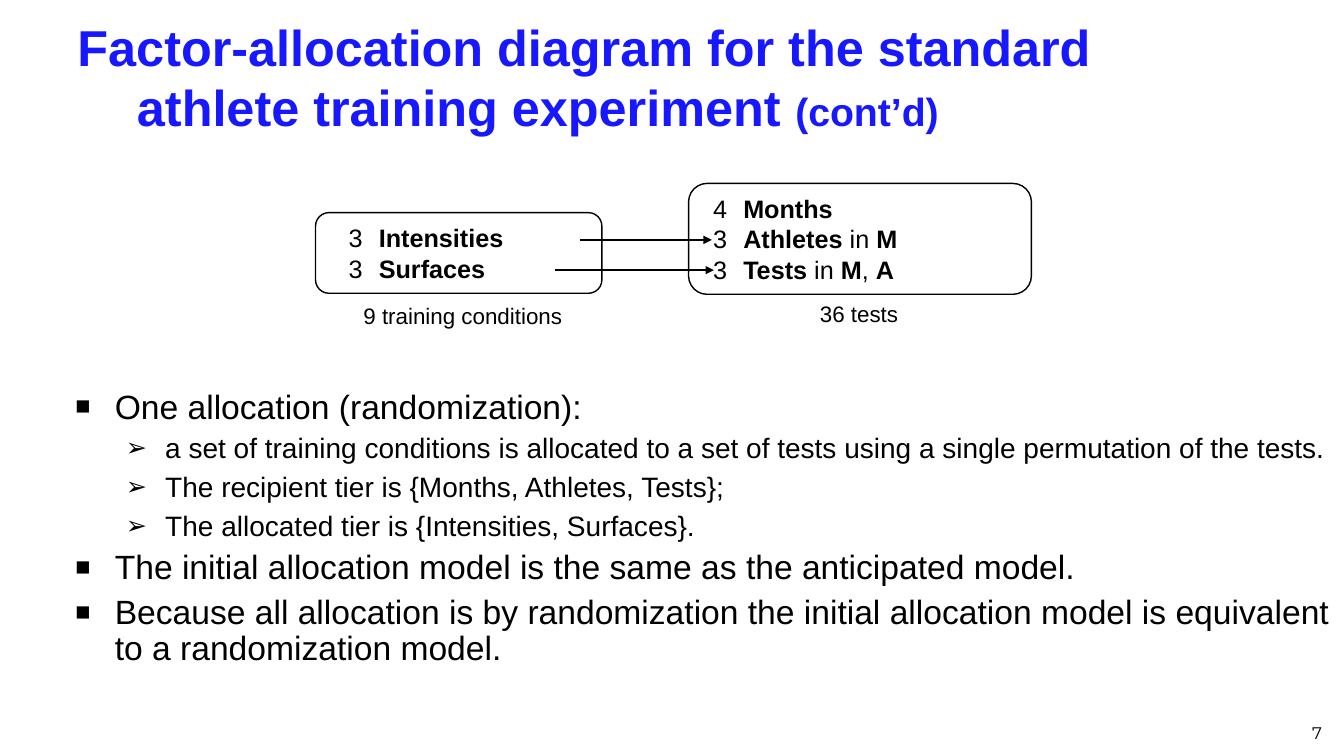
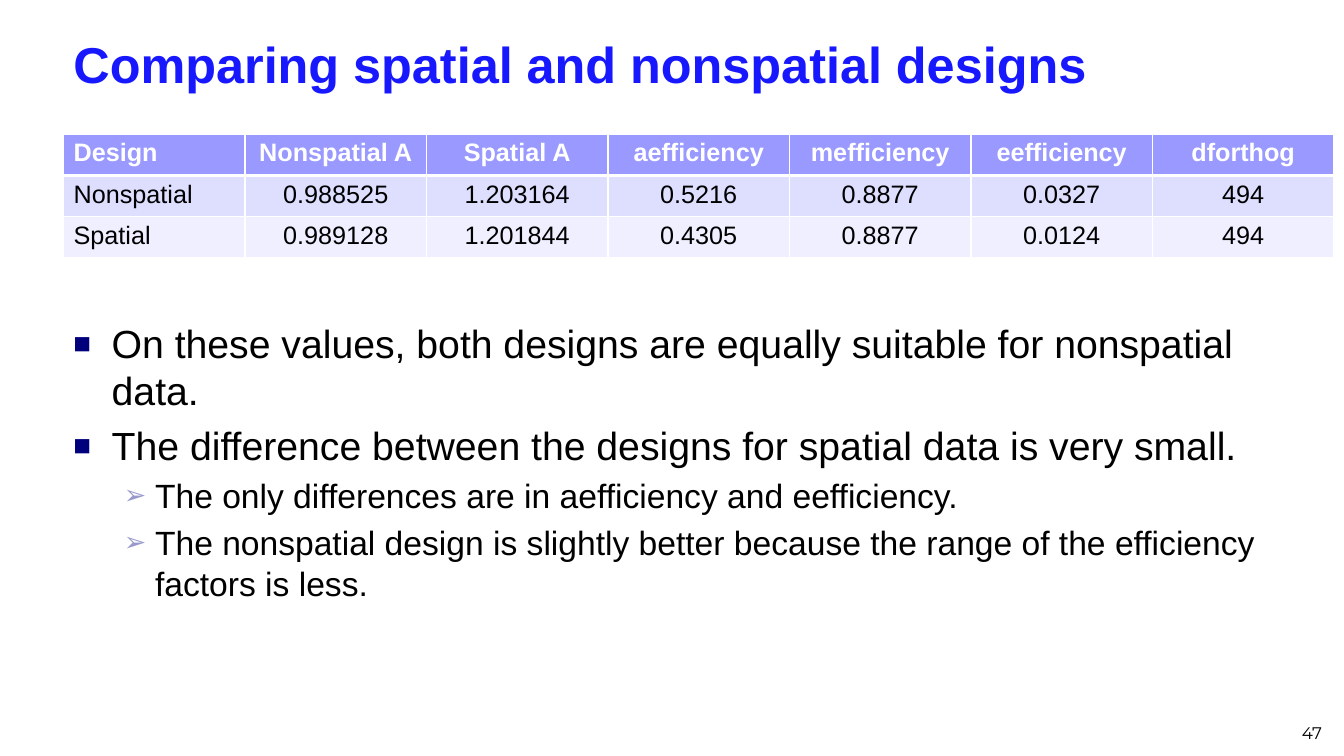
from lxml import etree
from pptx import Presentation
from pptx import util as u
from pptx.dml.color import RGBColor
from pptx.enum import shapes, text
from pptx.oxml import ns

BLUE = RGBColor(0x18, 0x18, 0xFF)
BLACK = RGBColor(0, 0, 0)
WHITE = RGBColor(0xFF, 0xFF, 0xFF)
NAVY = RGBColor(0, 0, 0x7D)
LAVENDER = RGBColor(0x99, 0x99, 0xCC)
HEADER_FILL = RGBColor(0x99, 0x99, 0xFF)
ROW_FILLS = (RGBColor(0xDE, 0xDE, 0xFF), RGBColor(0xEF, 0xEF, 0xFF))

LEFT, CENTER, RIGHT = text.PP_ALIGN.LEFT, text.PP_ALIGN.CENTER, text.PP_ALIGN.RIGHT
MIDDLE, BOTTOM = text.MSO_ANCHOR.MIDDLE, text.MSO_ANCHOR.BOTTOM


def child(parent, tag, **attributes):
    """Append a drawing element to its parent."""
    return etree.SubElement(parent, ns.qn(tag), attributes)


def apply(target, values):
    for name, value in values.items():
        setattr(target, name, value)


def indent(paragraph, left, hanging):
    properties = paragraph._p.get_or_add_pPr()
    properties.set("marL", str(u.Inches(left)))
    properties.set("indent", str(-u.Inches(hanging)))
    return properties


class Deck:
    FONT, NUMBER_FONT = "Arial", "Montserrat"

    def __init__(self):
        self.prs = Presentation()
        self.prs.slide_width, self.prs.slide_height = u.Inches(13.33), u.Inches(7.5)
        self.slide = None

    def new_slide(self, number):
        self.slide = self.prs.slides.add_slide(self.prs.slide_layouts[6])
        frame = self.box(10.1, 6.92, 3.11, 0.5, BOTTOM)
        frame.paragraphs[0].alignment = RIGHT
        self.run(frame.paragraphs[0], str(number), 12, name=self.NUMBER_FONT)

    def box(self, x, y, w, h, anchor=text.MSO_ANCHOR.TOP):
        frame = self.slide.shapes.add_textbox(*map(u.Inches, (x, y, w, h))).text_frame
        apply(frame, {"word_wrap": True, "vertical_anchor": anchor})
        return frame

    def run(self, paragraph, words, size, color=BLACK, bold=False, name=FONT):
        run = paragraph.add_run()
        run.text = words
        apply(run.font, {"size": u.Pt(size), "bold": bold, "name": name})
        run.font.color.rgb = color

    def rich(self, paragraph, words, size):
        """Write words, with the parts between asterisks in bold."""
        for index, part in enumerate(words.split("*")):
            if part:
                self.run(paragraph, part, size, bold=index % 2 == 1)

    def title(self, x, y, w, h, words, small="", hanging=0):
        paragraph = self.box(x, y, w, h, MIDDLE).paragraphs[0]
        indent(paragraph, hanging, hanging)
        self.run(paragraph, words, 36, BLUE, True)
        if small:
            self.run(paragraph, small, 28, BLUE, True)

    def panel(self, x, y, w, h, factors, left):
        panel = self.slide.shapes.add_shape(
            shapes.MSO_SHAPE.ROUNDED_RECTANGLE, *map(u.Inches, (x, y, w, h)))
        panel.shadow.inherit = False
        panel.fill.background()
        panel.line.color.rgb, panel.line.width = BLACK, u.Pt(1)
        frame = panel.text_frame
        apply(frame, {"word_wrap": True, "vertical_anchor": MIDDLE})
        for index, factor in enumerate(factors):
            paragraph = frame.add_paragraph() if index else frame.paragraphs[0]
            paragraph.alignment = LEFT
            indent(paragraph, left, 0.3)
            self.rich(paragraph, factor, 18)

    def caption(self, x, y, w, words):
        paragraph = self.box(x, y, w, 0.37).paragraphs[0]
        paragraph.alignment = CENTER
        self.run(paragraph, words, 16)

    def arrow(self, x1, x2, y):
        arrow = self.slide.shapes.add_connector(
            shapes.MSO_CONNECTOR.STRAIGHT, *map(u.Inches, (x1, y, x2, y)))
        arrow.line.color.rgb, arrow.line.width = BLACK, u.Pt(1.5)
        child(arrow.line._get_or_add_ln(), "a:tailEnd", type="triangle")
        child(arrow._element.spPr, "a:effectLst")

    def bullets(self, x, y, w, h, items, levels, line_spacing=1.0):
        """Write (level, words) items; levels hold the format of each level."""
        frame = self.box(x, y, w, h)
        for index, (level, words) in enumerate(items):
            style = levels[level]
            paragraph = frame.add_paragraph() if index else frame.paragraphs[0]
            properties = indent(paragraph, style["left"], style["hanging"])
            color = child(properties, "a:buClr")
            child(color, "a:srgbClr", val=str(style["color"]))
            child(properties, "a:buSzPct", val=str(style["percent"] * 1000))
            child(properties, "a:buFont", typeface=self.FONT)
            child(properties, "a:buChar", char="■➢"[level])
            apply(paragraph, {"level": level, "line_spacing": line_spacing,
                              "space_before": u.Pt(style["before"] if index else 0)})
            self.run(paragraph, words, style["size"])

    def table(self, x, y, w, row_height, rows):
        columns = len(rows[0])
        table = self.slide.shapes.add_table(
            len(rows), columns,
            *map(u.Inches, (x, y, w, row_height * len(rows)))).table
        for column in table.columns:
            column.width = u.Inches(w / columns)
        for r, row in enumerate(rows):
            table.rows[r].height = u.Inches(row_height)
            for c, words in enumerate(row):
                cell = table.cell(r, c)
                self.borders(cell, top=3 if r == 1 else 1, bottom=1 if r else 3)
                cell.fill.solid()
                cell.fill.fore_color.rgb = ROW_FILLS[(r - 1) % 2] if r else HEADER_FILL
                paragraph = cell.text_frame.paragraphs[0]
                paragraph.alignment = CENTER if c else LEFT
                self.run(paragraph, words, 18, BLACK if r else WHITE, r == 0)

    def borders(self, cell, top, bottom):
        properties = cell._tc.get_or_add_tcPr()
        for side, width in zip("LRTB", (1, 1, top, bottom)):
            line = child(properties, f"a:ln{side}", w=str(u.Pt(width)))
            child(child(line, "a:solidFill"), "a:srgbClr", val=str(WHITE))


def allocation_slide(deck):
    deck.new_slide(7)
    deck.title(0.67, 0.21, 11.9, 1.1,
               "Factor-allocation diagram for the standard athlete training experiment ",
               "(cont’d)", hanging=0.59)

    # Allocated and recipient tiers
    deck.panel(3.13, 2.11, 2.84, 0.8, ["3\t*Intensities*", "3\t*Surfaces*"], 0.49)
    deck.caption(3.08, 2.95, 3.02, "9 training conditions")
    deck.panel(6.83, 1.82, 3.4, 1.1,
               ["4\t*Months*", "3\t*Athletes* in *M*", "3\t*Tests* in *M*, *A*"], 0.39)
    deck.caption(7.23, 2.93, 2.58, "36 tests")
    deck.arrow(5.75, 7.06, 2.38)
    deck.arrow(5.5, 7.08, 2.68)

    # Explanation
    shared = {"hanging": 0.39, "color": BLACK, "before": 6}
    deck.bullets(0.65, 3.82, 12.65, 3.13, [
        (0, "One allocation (randomization):"),
        (1, "a set of training conditions is allocated to a set of tests "
            "using a single permutation of the tests."),
        (1, "The recipient tier is {Months, Athletes, Tests};"),
        (1, "The allocated tier is {Intensities, Surfaces}."),
        (0, "The initial allocation model is the same as the anticipated model."),
        (0, "Because all allocation is by randomization the initial allocation "
            "model is equivalent to a randomization model."),
    ], [{**shared, "left": 0.39, "percent": 75, "size": 24},
        {**shared, "left": 0.89, "percent": 90, "size": 20}], line_spacing=0.9)


def comparison_slide(deck):
    deck.new_slide(47)
    deck.title(0.63, 0.23, 12.6, 0.79, "Comparing spatial and nonspatial designs")

    # Efficiency of the two designs
    deck.table(0.63, 1.33, 12.6, 0.41, [
        ("Design", "Nonspatial A", "Spatial A", "aefficiency", "mefficiency",
         "eefficiency", "dforthog"),
        ("Nonspatial", "0.988525", "1.203164", "0.5216", "0.8877", "0.0327", "494"),
        ("Spatial", "0.989128", "1.201844", "0.4305", "0.8877", "0.0124", "494"),
    ])

    # Conclusions
    deck.bullets(0.63, 3.12, 12.6, 2.83, [
        (0, "On these values, both designs are equally suitable for nonspatial data."),
        (0, "The difference between the designs for spatial data is very small."),
        (1, "The only differences are in aefficiency and eefficiency."),
        (1, "The nonspatial design is slightly better because the range of the "
            "efficiency factors is less."),
    ], [{"left": 0.38, "hanging": 0.38, "color": NAVY, "percent": 75,
         "size": 28, "before": 5.6},
        {"left": 0.81, "hanging": 0.31, "color": LAVENDER, "percent": 80,
         "size": 24, "before": 4.8}])


def main():
    deck = Deck()
    allocation_slide(deck)
    comparison_slide(deck)
    deck.prs.save("out.pptx")


if __name__ == "__main__":
    main()
